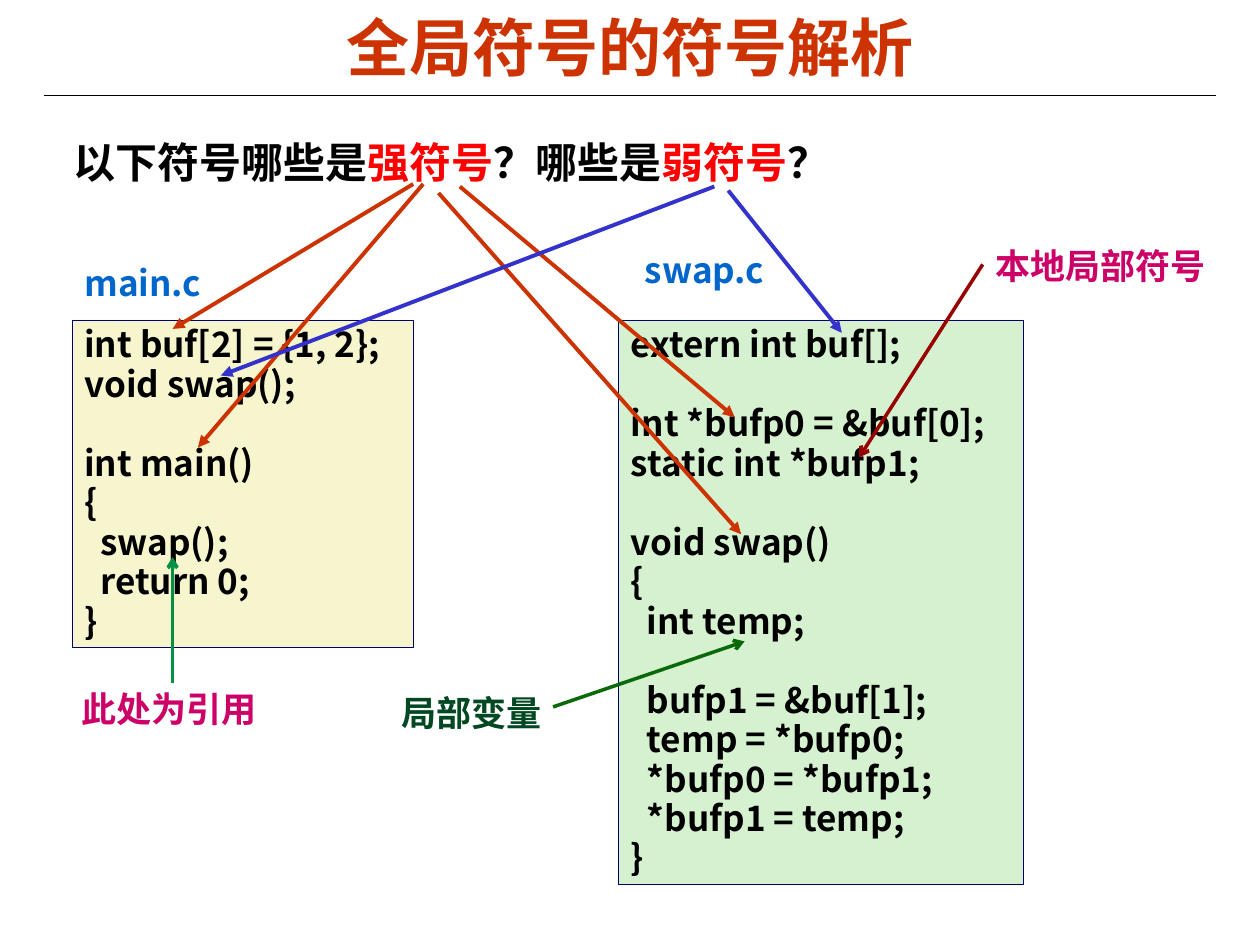
from dataclasses import dataclass

from lxml import etree
from pptx import Presentation
from pptx import util as u
from pptx.dml.color import RGBColor
from pptx.enum import shapes, text
from pptx.oxml import ns

CJK_FONT = "Noto Sans CJK SC"
BLACK, RED, BLUE, ORANGE = "000000", "FF0000", "3333CC", "CC3300"
PINK, SKY, NAVY = "CC0066", "0066CC", "000066"
CODE_LINE = 22.5  # height of one code line in points


@dataclass
class Area:
    left: float
    top: float
    width: float
    height: float

    def lengths(self) -> list:
        return [u.Cm(v) for v in (self.left, self.top, self.width, self.height)]


@dataclass
class Label:
    words: str
    area: Area
    colour: str
    spacing: float = 1.0
    align: text.PP_ALIGN = text.PP_ALIGN.LEFT


@dataclass
class Listing:
    code: str
    area: Area
    fill: str


@dataclass
class Arrow:
    start: tuple
    end: tuple
    colour: str
    width: float = 2.25
    head: str = "triangle"


def colour_of(value: str) -> RGBColor:
    return RGBColor.from_string(value)


def add_span(para, words: str, colour: str, size: float, name: str) -> None:
    span = para.add_run()
    span.text = words
    for key, value in {"size": u.Pt(size), "bold": True, "name": name}.items():
        setattr(span.font, key, value)
    span.font.color.rgb = colour_of(colour)
    if name == CJK_FONT:
        etree.SubElement(span.font._element, ns.qn("a:ea"), typeface=name)


def set_frame(frame, anchor, wrap: bool = True) -> None:
    margins = {"margin_left": 0.25, "margin_right": 0.25,
               "margin_top": 0.13, "margin_bottom": 0.13}
    for key, value in margins.items():
        setattr(frame, key, u.Cm(value))
    frame.word_wrap = wrap
    frame.vertical_anchor = anchor


def add_label(page, label: Label) -> None:
    box = page.shapes.add_textbox(*label.area.lengths())
    set_frame(box.text_frame, text.MSO_ANCHOR.TOP, wrap=False)
    para = box.text_frame.paragraphs[0]
    para.alignment = label.align
    para.line_spacing = label.spacing
    add_span(para, label.words, label.colour, 20, CJK_FONT)


def add_listing(page, listing: Listing) -> None:
    box = page.shapes.add_shape(shapes.MSO_SHAPE.RECTANGLE, *listing.area.lengths())
    box.shadow.inherit = False
    box.fill.solid()
    box.fill.fore_color.rgb = colour_of(listing.fill)
    box.line.color.rgb = colour_of(NAVY)
    box.line.width = u.Pt(0.25)
    frame = box.text_frame
    set_frame(frame, text.MSO_ANCHOR.TOP)
    # A blank line of code becomes space before the next line
    for i, block in enumerate(listing.code.split("\n\n")):
        for j, line in enumerate(block.split("\n")):
            para = frame.paragraphs[0] if i + j == 0 else frame.add_paragraph()
            para.alignment = text.PP_ALIGN.LEFT
            para.line_spacing = 0.94
            para.space_before = u.Pt(CODE_LINE if i and j == 0 else 0)
            add_span(para, line, BLACK, 20, CJK_FONT)


def add_line(page, start: tuple, end: tuple, colour: str, width: float):
    line = page.shapes.add_connector(
        shapes.MSO_CONNECTOR.STRAIGHT, *[u.Cm(v) for v in (*start, *end)])
    line.line.color.rgb = colour_of(colour)
    line.line.width = u.Pt(width)
    etree.SubElement(line._element.spPr, ns.qn("a:effectLst"))
    return line


def add_arrow(page, arrow: Arrow) -> None:
    line = add_line(page, arrow.start, arrow.end, arrow.colour, arrow.width)
    etree.SubElement(line.line._get_or_add_ln(), ns.qn("a:tailEnd"), type=arrow.head)


MAIN_CODE = """int buf[2] = {1, 2};
void swap();

int main()
{
  swap();
  return 0;
}"""

SWAP_CODE = """extern int buf[];

int *bufp0 = &buf[0];
static int *bufp1;

void swap()
{
  int temp;

  bufp1 = &buf[1];
  temp = *bufp0;
  *bufp0 = *bufp1;
  *bufp1 = temp;
}"""

LISTINGS = [
    Listing(MAIN_CODE, Area(1.45, 6.45, 6.88, 6.6), "F7F5CD"),
    Listing(SWAP_CODE, Area(12.47, 6.45, 8.15, 11.38), "D5F1CF"),
]
LABELS = [
    Label("main.c", Area(1.45, 5.21, 3.28, 1.04), SKY, 0.94),
    Label("swap.c", Area(12.75, 4.95, 3.71, 1.04), SKY, 0.94),
    Label("此处为引用", Area(1.4, 13.72, 4.04, 1.09), PINK),
    Label("本地局部符号", Area(19.81, 4.8, 4.88, 1.09), PINK),
    Label("局部变量", Area(7.85, 13.82, 3.33, 1.09), "004821",
          align=text.PP_ALIGN.RIGHT),
]
QUESTION = [("以下符号哪些是", BLACK), ("强符号", RED), ("？哪些是", BLACK),
            ("弱符号", RED), ("？", BLACK)]
NOTE_ARROWS = [
    Arrow((3.48, 13.77), (3.48, 11.23), "009242", 2, "arrow"),
    Arrow((19.81, 5.33), (17.32, 9.22), "990000", 2, "arrow"),
    Arrow((11.15, 14.25), (15.01, 12.93), "0A6A0A", 2, "arrow"),
]
SYMBOL_ARROWS = [
    Arrow((8.53, 3.71), (3.99, 9.02), ORANGE),
    Arrow((8.33, 3.71), (3.48, 6.63), ORANGE),
    Arrow((9.27, 3.76), (14.81, 8.41), ORANGE),
    Arrow((8.84, 3.89), (14.94, 10.77), ORANGE),
    Arrow((14.68, 3.84), (16.97, 6.71), BLUE),
    Arrow((14.4, 3.76), (4.45, 7.57), BLUE),
]


def main() -> None:
    deck = Presentation()
    deck.slide_width, deck.slide_height = u.Cm(25.4), u.Cm(19.05)
    page = deck.slides.add_slide(deck.slide_layouts[5])

    # Title and the rule under it
    title = page.shapes.title
    title.left, title.top, title.width, title.height = Area(1.27, 0.15, 22.86, 1.55).lengths()
    set_frame(title.text_frame, text.MSO_ANCHOR.MIDDLE)
    para = title.text_frame.paragraphs[0]
    para.alignment = text.PP_ALIGN.CENTER
    add_span(para, "全局符号的符号解析", ORANGE, 36, "Arial")
    add_line(page, (0.89, 1.93), (24.51, 1.93), BLACK, 0.75)

    # Source files and their notes
    for listing in LISTINGS:
        add_listing(page, listing)
    for label in LABELS:
        add_label(page, label)
    for arrow in NOTE_ARROWS:
        add_arrow(page, arrow)

    # Question, with arrows to strong and weak symbols
    box = page.shapes.add_textbox(*Area(1.24, 2.62, 17.7, 1.27).lengths())
    set_frame(box.text_frame, text.MSO_ANCHOR.TOP)
    for words, colour in QUESTION:
        add_span(box.text_frame.paragraphs[0], words, colour, 24, "Arial")
    for arrow in SYMBOL_ARROWS:
        add_arrow(page, arrow)

    deck.save("out.pptx")


if __name__ == "__main__":
    main()
